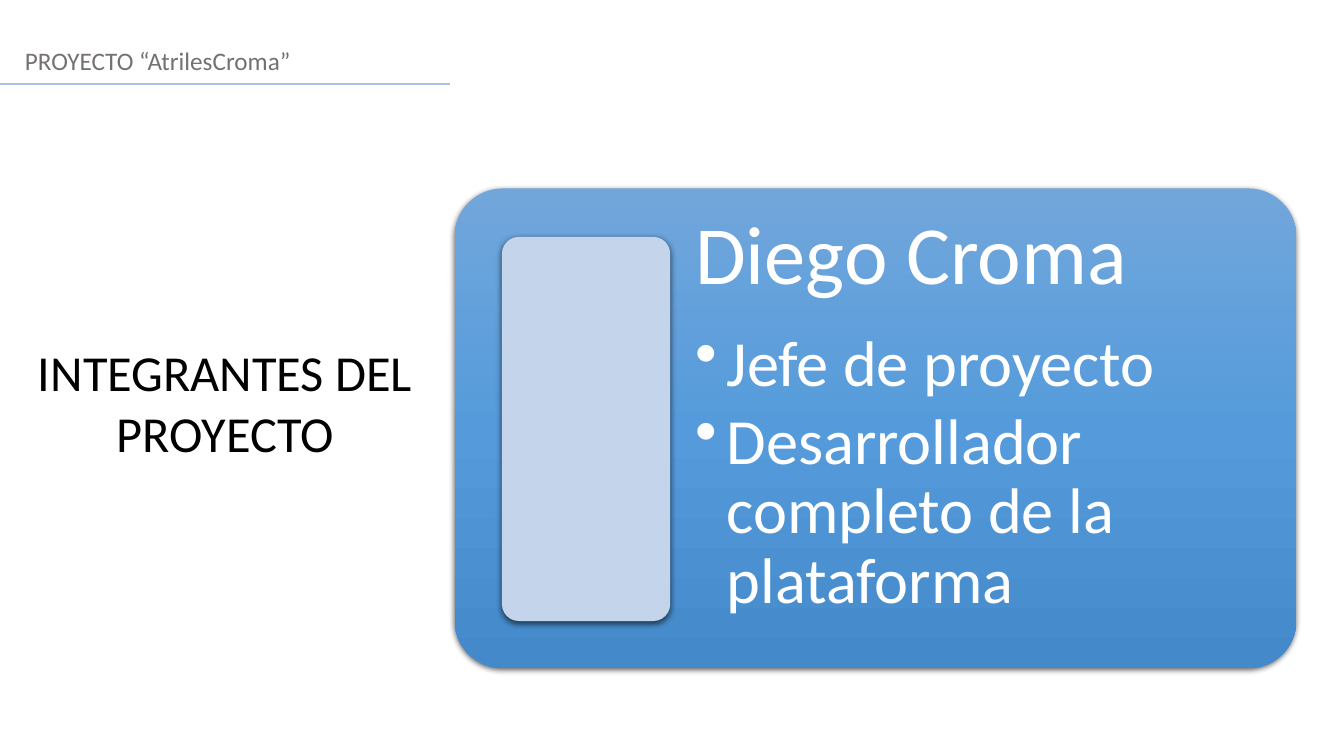
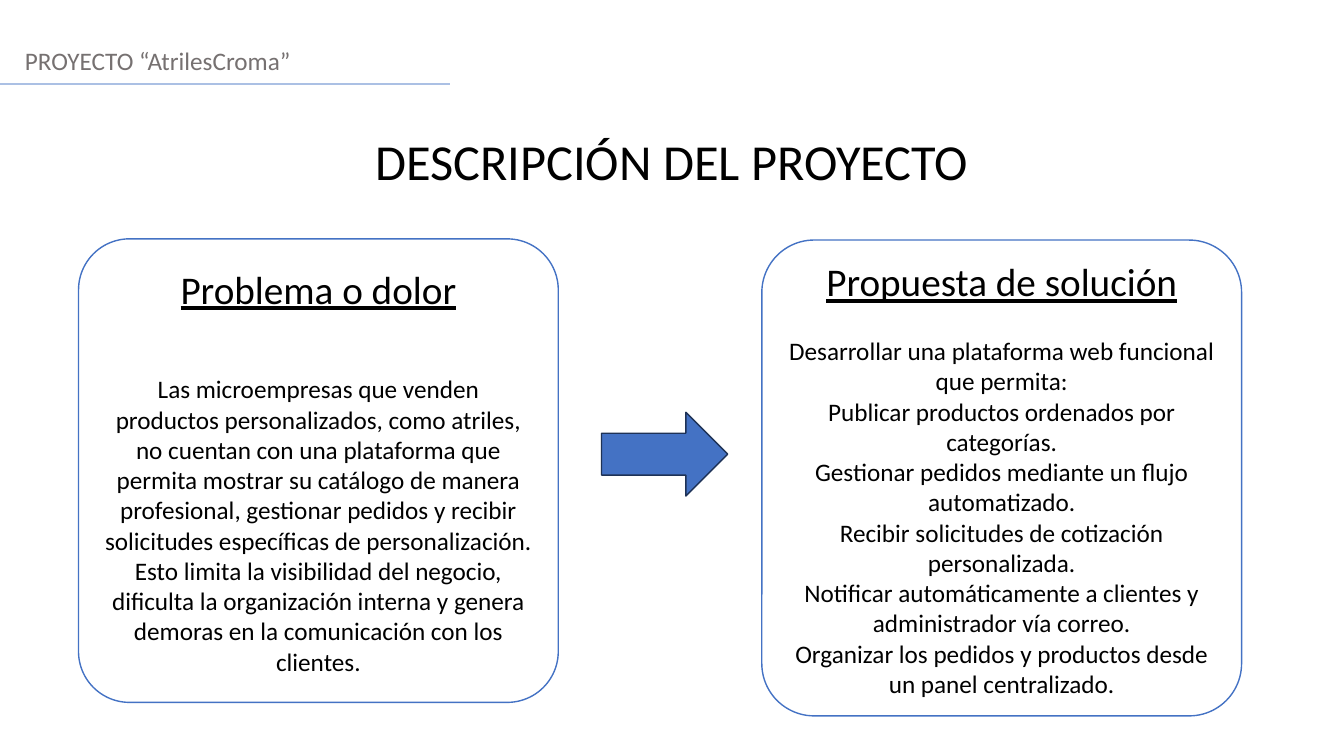
from dataclasses import dataclass

from lxml import etree
from pptx import Presentation
from pptx.dml.color import RGBColor
from pptx.enum.shapes import MSO_CONNECTOR, MSO_SHAPE
from pptx.enum.text import MSO_ANCHOR, PP_ALIGN
from pptx.oxml.ns import qn
from pptx.util import Cm, Pt

ROUNDED = MSO_SHAPE.ROUNDED_RECTANGLE
ARROW = MSO_SHAPE.RIGHT_ARROW
STRAIGHT = MSO_CONNECTOR.STRAIGHT
LEFT, CENTER = PP_ALIGN.LEFT, PP_ALIGN.CENTER
TOP, MIDDLE = MSO_ANCHOR.TOP, MSO_ANCHOR.MIDDLE

# Shared look
FONT = "Calibri"
BLACK, WHITE, GREY = "000000", "FFFFFF", "767171"
BLUE, DARK_BLUE, PALE_BLUE, RULE_BLUE = "4472C4", "1E3256", "C4D5EB", "ABC0E4"
PANEL_GRADIENT = ((0, "71A6DB"), (50, "559BDB"), (100, "448ACA"))
SLIDE_WIDTH, SLIDE_HEIGHT = 33.87, 19.05
TITLE_SIZE, BODY_SIZE = 36, 18


@dataclass(frozen=True)
class Box:
    """Left, top, width and height in centimetres."""
    left: float
    top: float
    width: float
    height: float

    def lengths(self) -> tuple:
        return Cm(self.left), Cm(self.top), Cm(self.width), Cm(self.height)


@dataclass(frozen=True)
class Line:
    """One paragraph of text with its format."""
    text: str
    size: float
    color: str = BLACK
    align: PP_ALIGN = LEFT
    underline: bool = False
    bullet: bool = False
    spacing: float = 1.0
    after: float = 0


@dataclass(frozen=True)
class Card:
    box: Box
    heading: str
    heading_gap: float
    body: tuple


CARDS = (
    Card(Box(1.98, 6.02, 12.09, 11.68), "Problema o dolor", 44, (
        "Las microempresas que venden productos personalizados, como atriles, "
        "no cuentan con una plataforma que permita mostrar su catálogo de manera "
        "profesional, gestionar pedidos y recibir solicitudes específicas de "
        "personalización. Esto limita la visibilidad del negocio, dificulta la "
        "organización interna y genera demoras en la comunicación con los clientes.",
    )),
    Card(Box(19.2, 6.05, 12.09, 11.99), "Propuesta de solución", 22, (
        "Desarrollar una plataforma web funcional que permita:",
        "Publicar productos ordenados por categorías.",
        "Gestionar pedidos mediante un flujo automatizado.",
        "Recibir solicitudes de cotización personalizada.",
        "Notificar automáticamente a clientes y administrador vía correo.",
        "Organizar los pedidos y productos desde un panel centralizado.",
    )),
)


def color(value: str) -> RGBColor:
    return RGBColor.from_string(value)


def add_node(parent, tag: str, **attributes):
    return etree.SubElement(parent, qn(tag), attributes)


# Text
def write(frame, lines, anchor=TOP) -> None:
    frame.word_wrap = True
    frame.vertical_anchor = anchor
    for index, line in enumerate(lines):
        paragraph = frame.add_paragraph() if index else frame.paragraphs[0]
        paragraph.alignment = line.align
        paragraph.line_spacing = line.spacing
        paragraph.space_after = Pt(line.after)
        if line.bullet:
            add_bullet(paragraph)
        run = paragraph.add_run()
        run.text = line.text
        run.font.name = FONT
        run.font.size = Pt(line.size)
        run.font.underline = line.underline
        run.font.color.rgb = color(line.color)


def add_bullet(paragraph, indent: float = 0.79) -> None:
    paragraph.level = 1
    properties = paragraph._p.get_or_add_pPr()
    properties.set("marL", str(Cm(indent)))
    properties.set("indent", str(-Cm(indent)))
    add_node(properties, "a:buChar", char="•")


def add_text(slide, box: Box, lines, inset: float = 0) -> None:
    frame = slide.shapes.add_textbox(*box.lengths()).text_frame
    if inset:
        frame.margin_left = frame.margin_right = Cm(inset)
        frame.margin_top = frame.margin_bottom = Cm(inset)
    write(frame, lines)


# Shapes
def add_shape(slide, kind, box: Box, fill: str, line: str = "", corner: float = 0):
    shape = slide.shapes.add_shape(kind, *box.lengths())
    shape.shadow.inherit = False
    shape.fill.solid()
    shape.fill.fore_color.rgb = color(fill)
    if line:
        shape.line.color.rgb = color(line)
        shape.line.width = Pt(1)
    else:
        shape.line.fill.background()
    if corner:
        shape.adjustments[0] = corner
    return shape


def add_soft_shadow(shape) -> None:
    effects = shape._element.spPr.find(qn("a:effectLst"))
    shadow = add_node(effects, "a:outerShdw", blurRad=str(Pt(4.5)), dist=str(Pt(1.5)),
                      dir="5400000", algn="ctr", rotWithShape="0")
    shade = add_node(shadow, "a:srgbClr", val=BLACK)
    add_node(shade, "a:alpha", val="63000")


def set_gradient(shape, stops) -> None:
    properties = shape._element.spPr
    gradient = etree.Element(qn("a:gradFill"), rotWithShape="1")
    stop_list = add_node(gradient, "a:gsLst")
    for position, value in stops:
        stop = add_node(stop_list, "a:gs", pos=str(position * 1000))
        add_node(stop, "a:srgbClr", val=value)
    add_node(gradient, "a:lin", ang="5400000", scaled="0")
    properties.replace(properties.find(qn("a:solidFill")), gradient)


# Slides
def add_slide(presentation):
    """Blank slide with the project name and its rule."""
    slide = presentation.slides.add_slide(presentation.slide_layouts[6])
    add_text(slide, Box(0.38, 1.02, 33, 1.02),
             [Line("PROYECTO “AtrilesCroma”", BODY_SIZE, GREY)])
    rule = slide.shapes.add_connector(STRAIGHT, Cm(0), Cm(2.11), Cm(11.35), Cm(2.11))
    rule.line.color.rgb = color(RULE_BLUE)
    rule.line.width = Pt(1.25)
    add_node(rule._element.spPr, "a:effectLst")
    return slide


def add_title(slide, text: str, box: Box) -> None:
    add_text(slide, box, [Line(text, TITLE_SIZE, align=CENTER)])


def build_team_slide(presentation) -> None:
    slide = add_slide(presentation)
    add_title(slide, "INTEGRANTES DEL PROYECTO", Box(0.66, 8.48, 10.03, 3.33))

    # Member panel with its plain portrait block
    panel = add_shape(slide, ROUNDED, Box(11.46, 4.75, 21.21, 12.09), BLUE, corner=0.1)
    set_gradient(panel, PANEL_GRADIENT)
    portrait = add_shape(slide, ROUNDED, Box(12.65, 5.97, 4.24, 9.68), PALE_BLUE, corner=0.1)
    for shape in (panel, portrait):
        add_soft_shadow(shape)

    roles = ("Jefe de proyecto", "Desarrollador completo de la plataforma")
    lines = [Line("Diego Croma", 59, WHITE, spacing=0.9, after=20)]
    lines += [Line(role, 46, WHITE, bullet=True, spacing=0.9, after=6) for role in roles]
    add_text(slide, Box(16.89, 4.75, 15.75, 12.09), lines, inset=0.63)


def build_description_slide(presentation) -> None:
    slide = add_slide(presentation)
    add_title(slide, "DESCRIPCIÓN DEL PROYECTO", Box(0, 3.15, SLIDE_WIDTH, 1.8))

    # Problem and solution, joined by the arrow
    for card in CARDS:
        shape = add_shape(slide, ROUNDED, card.box, WHITE, BLUE, corner=0.11)
        lines = [Line(card.heading, 28, align=CENTER, underline=True, after=card.heading_gap)]
        lines += [Line(text, BODY_SIZE, align=CENTER) for text in card.body]
        write(shape.text_frame, lines, MIDDLE)
    add_shape(slide, ARROW, Box(15.16, 10.39, 3.18, 2.11), BLUE, DARK_BLUE)


def main() -> None:
    presentation = Presentation()
    presentation.slide_width = Cm(SLIDE_WIDTH)
    presentation.slide_height = Cm(SLIDE_HEIGHT)
    build_team_slide(presentation)
    build_description_slide(presentation)
    presentation.save("out.pptx")


if __name__ == "__main__":
    main()
